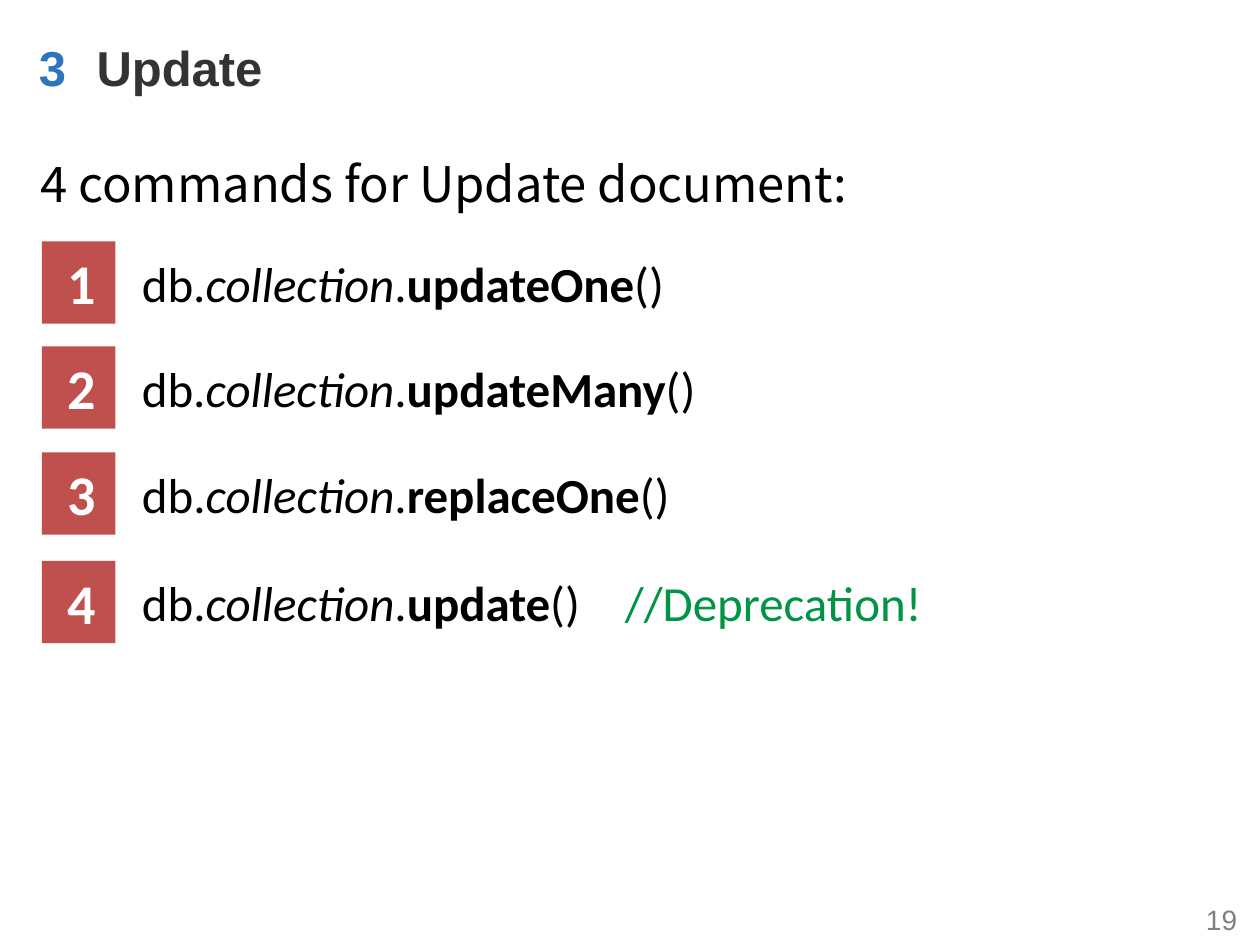
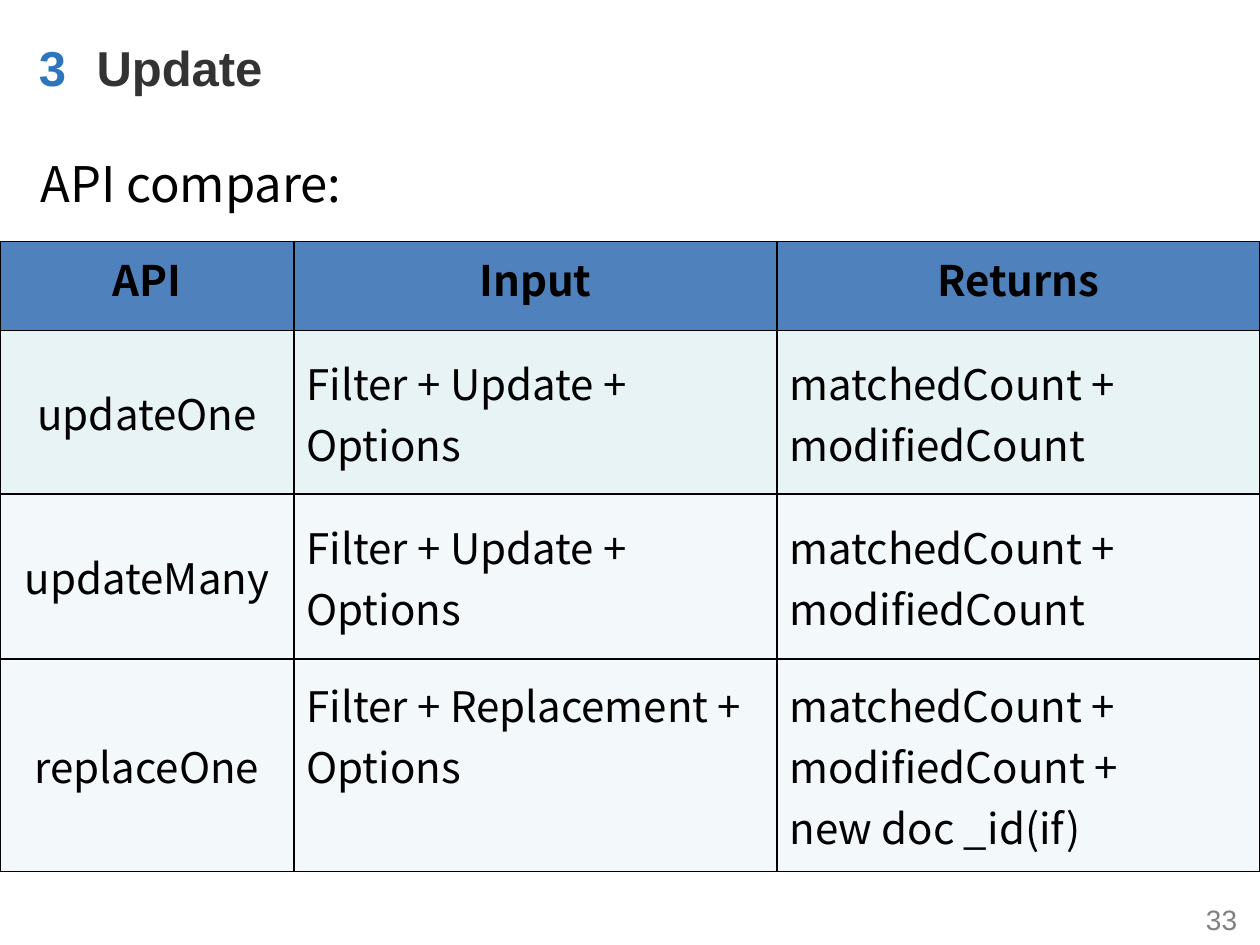
from lxml import etree
from pptx import Presentation
from pptx.dml.color import RGBColor
from pptx.enum import shapes, text
from pptx.oxml import ns
from pptx.util import Pt

HUES = {
    "blue": "2D75BC", "dark": "333333", "grey": "808080", "black": "000000",
    "white": "FFFFFF", "red": "C0504D", "green": "009444",
    "head": "4F81BD", "mint": "E7F3F4", "pale": "F3F9FA",
}
LEFT, MID, RIGHT = (text.PP_ALIGN.LEFT, text.PP_ALIGN.CENTER,
                    text.PP_ALIGN.RIGHT)
TOP, CENTER = text.MSO_ANCHOR.TOP, text.MSO_ANCHOR.MIDDLE
SANS, BODY, CODE = "Arial", "Noto Sans CJK SC", "Calibri"
CELL = {"margin_left": Pt(7.2), "margin_right": Pt(7.2),
        "margin_top": Pt(3.6), "margin_bottom": Pt(3.6)}
FRAME = {**CELL, "word_wrap": True, "auto_size": text.MSO_AUTO_SIZE.NONE}
HEAD = {"name": SANS, "size": Pt(28), "bold": True}


def apply(item, values):
    for key, value in values.items():
        setattr(item, key, value)


def paint(fill, hue):
    fill.solid()
    fill.fore_color.rgb = RGBColor.from_string(HUES[hue])


def add_run(para, words, font, hue):
    run = para.add_run()
    run.text = words
    apply(run.font, font)
    run.font.color.rgb = RGBColor.from_string(HUES[hue])


def write(shape, words, font, hue, align=LEFT, anchor=CENTER):
    frame = shape.text_frame
    apply(frame, {**FRAME, "vertical_anchor": anchor})
    para = frame.paragraphs[0]
    para.alignment = align
    if words:
        add_run(para, words, font, hue)
    return para


def add_box(slide, box, *args):
    shape = slide.shapes.add_textbox(*map(Pt, box))
    return write(shape, *args)


def add_base(deck, lead, page):
    slide = deck.slides.add_slide(deck.slide_layouts[5])
    title = slide.shapes.title
    apply(title, dict(zip(("left", "top", "width", "height"),
                          map(Pt, (48, 18, 630, 41)))))
    write(title, "Update", HEAD, "dark")
    add_box(slide, (12, 18, 36, 41), "3", HEAD, "blue", MID)
    add_box(slide, (678, 511, 36, 29), page,
            {"name": SANS, "size": Pt(16)}, "grey", RIGHT)
    add_box(slide, (16, 84, 695, 75), lead,
            {"name": BODY, "size": Pt(28)}, "black", LEFT, TOP)
    return slide


def add_call(slide, box, mark, name, note):
    left, top, width, height = box
    badge = slide.shapes.add_shape(
        shapes.MSO_SHAPE.ROUNDED_RECTANGLE, *map(Pt, (left, top, 42, height)))
    badge.adjustments[0] = 0
    badge.shadow.inherit = False
    paint(badge.fill, "red")
    badge.line.fill.background()
    write(badge, f" {mark}", {"name": CODE, "size": Pt(32), "bold": True},
          "white")
    para = add_box(slide, (left + 50, top + 3, width - 50, 41),
                   "", {}, "black")
    font = {"name": CODE, "size": Pt(28)}
    for words, look in (("db.", {}), ("collection", {"italic": True}),
                        (".", {}), (name, {"bold": True}), ("()", {})):
        add_run(para, words, {**font, **look}, "black")
    if note:
        stops = etree.SubElement(para._p.get_or_add_pPr(), ns.qn("a:tabLst"))
        etree.SubElement(stops, ns.qn("a:tab"), pos=str(Pt(276)), algn="l")
        add_run(para, f"\t{note}", font, "green")


def add_edges(cell):
    props = cell._tc.get_or_add_tcPr()
    for side in "LRTB":
        line = etree.SubElement(props, ns.qn(f"a:ln{side}"), w=str(Pt(1)))
        fill = etree.SubElement(line, ns.qn("a:solidFill"))
        etree.SubElement(fill, ns.qn("a:srgbClr"), val=HUES["black"])


def add_grid(slide, box, cols, rows, hues, data):
    grid = slide.shapes.add_table(len(rows), len(cols), *map(Pt, box)).table
    apply(grid, {"first_row": False, "horz_banding": False})
    for col, width in zip(grid.columns, cols):
        col.width = Pt(width)
    for i, (row, height) in enumerate(zip(grid.rows, rows)):
        row.height = Pt(height)
        for j, cell in enumerate(row.cells):
            add_edges(cell)
            paint(cell.fill, hues[i])
            apply(cell, {**CELL, "vertical_anchor": CENTER if i else TOP})
            frame = cell.text_frame
            for k, words in enumerate(data[i][j].split("\n")):
                para = frame.add_paragraph() if k else frame.paragraphs[0]
                para.alignment = LEFT if i and j else MID
                add_run(para, words, {"name": BODY, "size": Pt(24),
                                      "bold": i == 0}, "black")
    return grid


def add_list(deck):
    slide = add_base(deck, "4 commands for Update document:", "19")
    calls = ((138, 440, "updateOne", ""), (198, 440, "updateMany", ""),
             (258.5, 624, "replaceOne", ""),
             (320.5, 624, "update", "//Deprecation!"))
    for mark, (top, width, name, note) in enumerate(calls, 1):
        add_call(slide, (24, top, width, 47), mark, name, note)


def add_match(deck):
    slide = add_base(deck, "API compare:", "33")
    both = ("Filter + Update + Options", "matchedCount + modifiedCount")
    data = (("API", "Input", "Returns"),
            ("updateOne", *both),
            ("updateMany", *both),
            ("replaceOne", "Filter + Replacement + Options",
             "matchedCount + modifiedCount +\nnew doc _id(if)"))
    grid = add_grid(slide, (0, 138, 720, 360), (168, 276, 276),
                    (51, 93.3, 94.2, 121.5),
                    ("head", "mint", "pale", "pale"), data)
    apply(grid.cell(3, 1), {"vertical_anchor": TOP, "margin_top": Pt(8.6)})


def main():
    deck = Presentation()
    apply(deck, {"slide_width": Pt(720), "slide_height": Pt(540)})
    add_list(deck)
    add_match(deck)
    deck.save("out.pptx")


if __name__ == "__main__":
    main()
